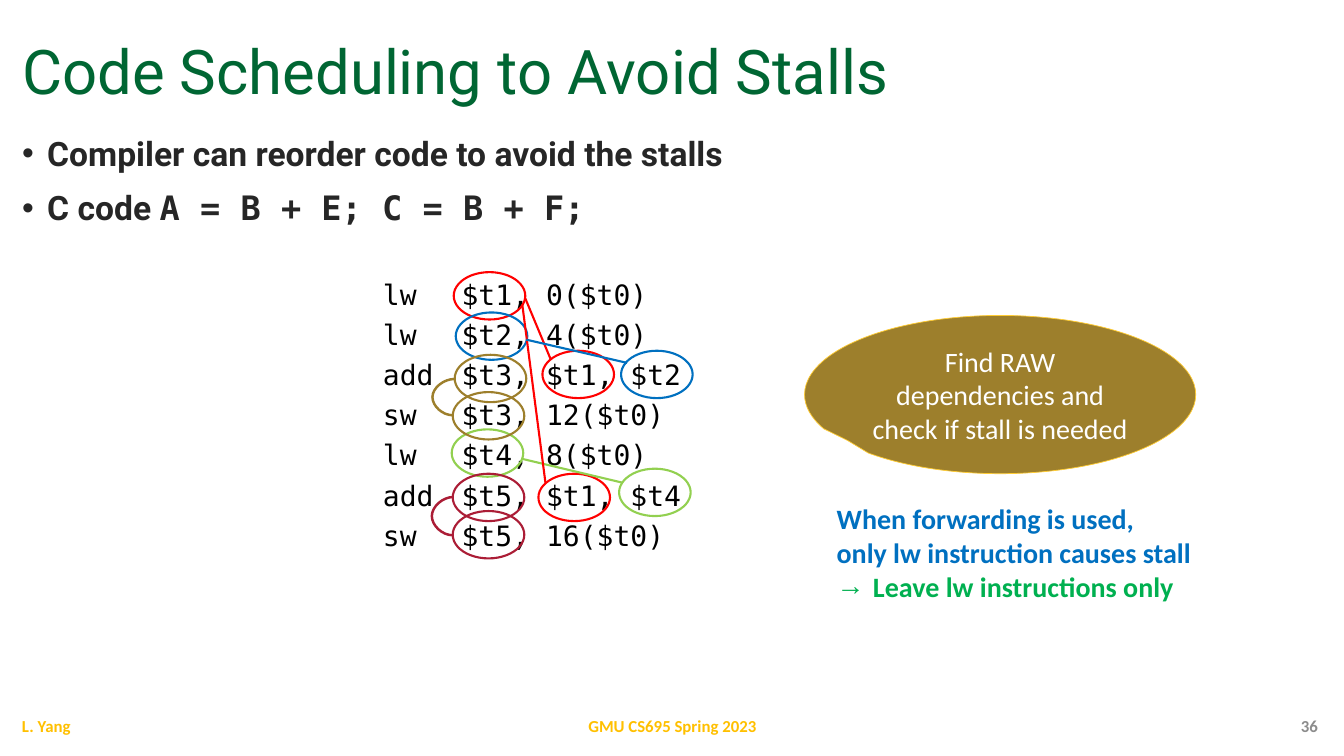
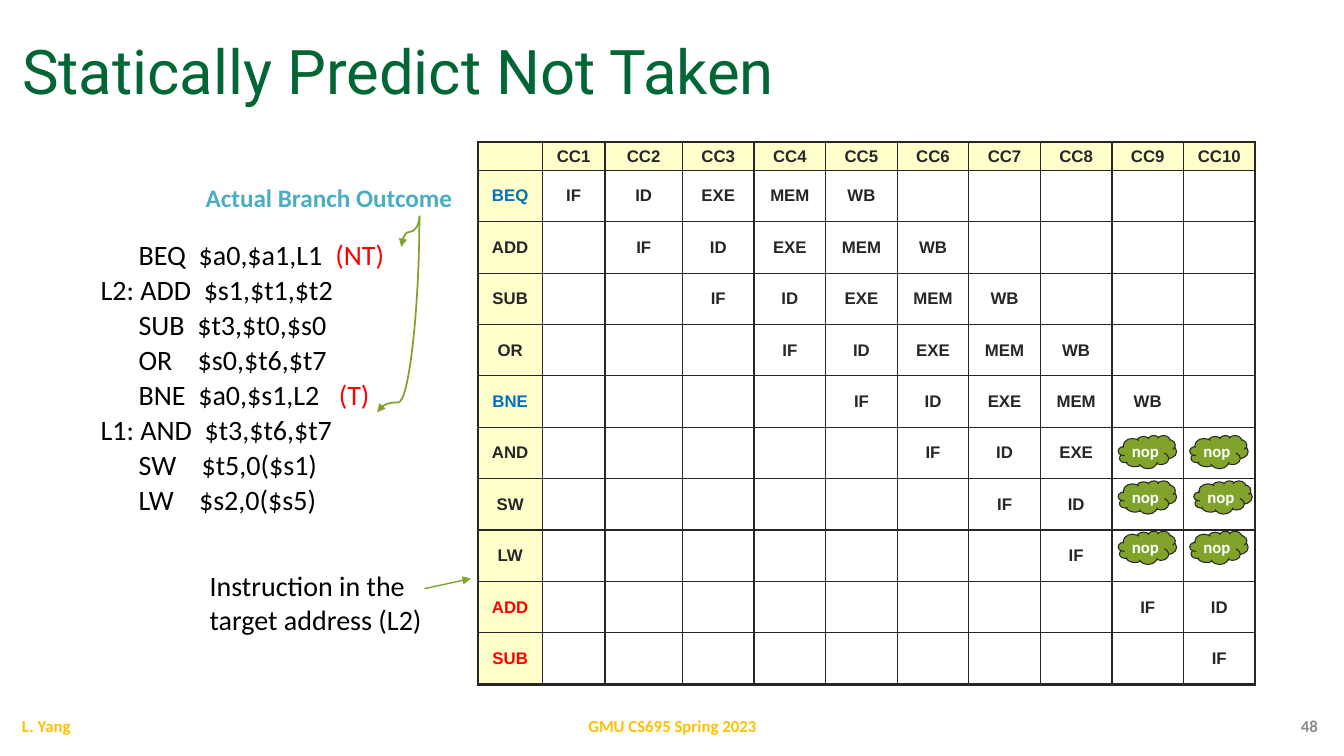
from lxml import etree
from pptx import Presentation
from pptx.dml.color import RGBColor
from pptx.enum import shapes, text
from pptx.oxml import ns
from pptx.util import Inches, Pt

C = {"title": "006633", "ink": "262626", "black": "000000", "white": "FFFFFF",
     "gray": "8C8C8C", "amber": "FFC000", "yellow": "FFCC33", "cream": "FFFFCC",
     "red": "FF0000", "blue": "0070C0", "green": "00B050", "lime": "92D050",
     "gold": "9D7F2C", "crimson": "AB1D36", "olive": "81A32B", "teal": "4BACC6"}
RGB = {k: RGBColor.from_string(v) for k, v in C.items()}
LEFT, CENTER, RIGHT = (text.PP_ALIGN.LEFT, text.PP_ALIGN.CENTER, text.PP_ALIGN.RIGHT)
TOP, MIDDLE, BOTTOM = (text.MSO_ANCHOR.TOP, text.MSO_ANCHOR.MIDDLE, text.MSO_ANCHOR.BOTTOM)
SHAPE, CONN = shapes.MSO_SHAPE, shapes.MSO_CONNECTOR

TITLE = {"name": "Roboto", "size": Pt(44), "color": "title"}
BODY = {"name": "Roboto", "size": Pt(24), "bold": True, "color": "ink"}
MONO = {"name": "DejaVu Sans Mono", "size": Pt(20), "color": "black"}
PLAIN = {"name": "Calibri", "size": Pt(20), "color": "black"}
SMALL = {"name": "Calibri", "size": Pt(12), "bold": True, "color": "amber"}
CELL = {"name": "Arial", "size": Pt(12), "bold": True, "color": "ink"}


def write(tf, lines, look, align=LEFT, anchor=TOP, before=0, spacing=None):
    """Fill a text frame; a line is a string or a list of (text, changes) runs."""
    tf.word_wrap = True
    tf.vertical_anchor = anchor
    for i, line in enumerate(lines):
        p = tf.paragraphs[0] if i == 0 else tf.add_paragraph()
        p.alignment = align
        p.line_spacing = spacing
        p.space_before = Pt(before if i else 0)
        for words, changes in [(line, {})] if isinstance(line, str) else line:
            r = p.add_run()
            r.text = words
            for key, value in {**look, **changes}.items():
                if key == "color":
                    r.font.color.rgb = RGB[value]
                else:
                    setattr(r.font, key, value)
    return tf.paragraphs


def connect(s, start, end, color, width, adj=None, down=False, arrow=False):
    """Draw a line, or a curve if adj is given; down makes it leave vertically."""
    (x1, y1), (x2, y2) = start, end
    if down:  # the box is stored unturned, then rotated a quarter turn
        cx, cy, w, h = (x1 + x2) / 2, (y1 + y2) / 2, y2 - y1, x1 - x2
        x1, y1, x2, y2 = cx - w / 2, cy - h / 2, cx + w / 2, cy + h / 2
    kind = CONN.STRAIGHT if adj is None else CONN.CURVE
    c = s.shapes.add_connector(kind, *map(Inches, (x1, y1, x2, y2)))
    c.line.color.rgb = RGB[color]
    c.line.width = Pt(width)
    sp_pr = c._element.spPr
    if down:
        sp_pr.find(ns.qn("a:xfrm")).set("rot", str(90 * 60000))
    if adj is not None:
        gd = etree.SubElement(sp_pr.find(".//" + ns.qn("a:avLst")), ns.qn("a:gd"))
        gd.set("name", "adj1")
        gd.set("fmla", f"val {round(adj * 100000)}")
    if arrow:
        etree.SubElement(sp_pr.find(ns.qn("a:ln")), ns.qn("a:tailEnd")).set("type", "triangle")
    etree.SubElement(sp_pr, ns.qn("a:effectLst"))


prs = Presentation()
prs.slide_width, prs.slide_height = Inches(13.33), Inches(7.5)

# Title and footer of both slides
slides = []
for title, number in [("Code Scheduling to Avoid Stalls", "36"),
                      ("Statically Predict Not Taken", "48")]:
    s = prs.slides.add_slide(prs.slide_layouts[5])
    slides.append(s)
    sp = s.shapes.title
    sp.left, sp.top, sp.width, sp.height = map(Inches, (0.12, 0.17, 13.05, 0.95))
    sp.text_frame.auto_size = text.MSO_AUTO_SIZE.NONE
    write(sp.text_frame, [title], TITLE, anchor=BOTTOM, spacing=0.9)
    for x, w, words, align, color in [(0.12, 3, "L. Yang", LEFT, "amber"),
                                      (4.42, 4.5, "GMU CS695 Spring 2023", CENTER, "amber"),
                                      (10.17, 3, number, RIGHT, "gray")]:
        sp = s.shapes.add_textbox(*map(Inches, (x, 7, w, 0.4)))
        write(sp.text_frame, [words], {**SMALL, "color": color}, align, MIDDLE)

# Slide 1: bullets, code and note
s = slides[0]
sp = s.shapes.add_textbox(*map(Inches, (0.12, 1.27, 13.05, 1.2)))
points = write(sp.text_frame, [
    "Compiler can reorder code to avoid the stalls",
    [("C code ", {}), ("A = B + E; C = B + F;", {"name": "DejaVu Sans Mono"})],
], BODY, before=10)

sp = s.shapes.add_textbox(*map(Inches, (3.7, 2.7, 3.3, 2.86)))
code = write(sp.text_frame, [
    "lw\t$t1, 0($t0)", "lw\t$t2, 4($t0)", "add\t$t3, $t1, $t2", "sw\t$t3, 12($t0)",
    "lw\t$t4, 8($t0)", "add\t$t5, $t1, $t4", "sw\t$t5, 16($t0)",
], MONO, before=4.7)
for p in code:
    tabs = etree.SubElement(p._p.get_or_add_pPr(), ns.qn("a:tabLst"))
    tab = etree.SubElement(tabs, ns.qn("a:tab"))
    tab.set("pos", str(Inches(0.78)))
    tab.set("algn", "l")

sp = s.shapes.add_textbox(*map(Inches, (8.2, 4.93, 3.9, 1.11)))
note = write(sp.text_frame, [
    "When forwarding is used,", "only lw instruction causes stall",
    [("Leave lw instructions only", {"color": "green"})],
], {**PLAIN, "bold": True, "color": "blue"})

for p, mark, indent in [(points[0], "•", 0.25), (points[1], "•", 0.25), (note[2], "→", 0.36)]:
    ppr = p._p.get_or_add_pPr()
    ppr.set("marL", str(Inches(indent)))
    ppr.set("indent", str(-Inches(indent)))
    etree.SubElement(ppr, ns.qn("a:buFont")).set("typeface", "Arial")
    etree.SubElement(ppr, ns.qn("a:buChar")).set("char", mark)

# Circled registers and the dependencies between them
rings = {"lime": [(4.48, 4.26), (6.14, 4.65)],
         "red": [(4.5, 2.7), (5.38, 3.48), (5.34, 4.7)],
         "blue": [(4.52, 3.1), (6.16, 3.48)],
         "gold": [(4.51, 3.52), (4.49, 3.89)],
         "crimson": [(4.49, 4.7), (4.49, 5.07)]}
for color, places in rings.items():
    for x, y in places:
        sp = s.shapes.add_shape(SHAPE.OVAL, *map(Inches, (x, y, 0.71, 0.47)))
        sp.shadow.inherit = False
        sp.fill.background()
        sp.line.color.rgb = RGB[color]
        sp.line.width = Pt(1.5)
for start, end, color in [((5.17, 4.55), (6.18, 4.79), "lime"),
                          ((5.21, 2.96), (5.46, 3.56), "red"),
                          ((5.18, 3.02), (5.41, 4.79), "red"),
                          ((5.22, 3.37), (6.22, 3.6), "blue")]:
    connect(s, start, end, color, 1.5)
connect(s, (4.51, 3.76), (4.49, 4.12), "gold", 1.75, adj=11)
connect(s, (4.5, 4.93), (4.49, 5.31), "crimson", 1.75, adj=22)

# Callout
sp = s.shapes.add_shape(SHAPE.OVAL_CALLOUT, *map(Inches, (7.98, 3.13, 3.88, 1.57)))
sp.adjustments[0], sp.adjustments[1] = -0.39, 0.29
sp.shadow.inherit = False
sp.fill.solid()
sp.fill.fore_color.rgb = RGB["gold"]
sp.line.color.rgb = RGB["yellow"]
sp.line.width = Pt(0.5)
write(sp.text_frame, ["Find RAW dependencies and check if stall is needed"],
      {**PLAIN, "color": "white"}, CENTER, MIDDLE)

# Slide 2: pipeline table; each instruction starts one cycle after the last
s = slides[1]
stages = ["IF", "ID", "EXE", "MEM", "WB"]
pipeline = [("BEQ", 5, "blue"), ("ADD", 5, "ink"), ("SUB", 5, "ink"), ("OR", 5, "ink"),
            ("BNE", 5, "blue"), ("AND", 3, "ink"), ("SW", 2, "ink"), ("LW", 1, "ink"),
            ("ADD", 2, "red"), ("SUB", 1, "red")]
grid = [[""] + [f"CC{n}" for n in range(1, 11)]]
for i, (name, count, color) in enumerate(pipeline):
    grid.append([name] + [""] * i + stages[:count] + [""] * (10 - i - count))

widths = [0.64, 0.62, 0.77] + [0.71] * 8
heights = [0.28] + [0.51] * 10
frame = s.shapes.add_table(11, 11, *map(Inches, (4.74, 1.41, sum(widths), sum(heights))))
table = frame.table
table.first_row = table.horz_banding = False
for col, w in zip(table.columns, widths):
    col.width = Inches(w)
for row, h in zip(table.rows, heights):
    row.height = Inches(h)
for i, row in enumerate(grid):
    for j, words in enumerate(row):
        cell = table.cell(i, j)
        cell.margin_left = cell.margin_right = Inches(0.05)
        cell.margin_top = cell.margin_bottom = Inches(0.04)
        cell.vertical_anchor = MIDDLE
        if words:
            color = pipeline[i - 1][2] if i and j == 0 else "ink"
            write(cell.text_frame, [words], {**CELL, "color": color}, CENTER, MIDDLE)
        else:
            cell.text_frame.paragraphs[0]._p.get_or_add_endParaRPr().set("sz", "1200")
        tc_pr = cell._tc.get_or_add_tcPr()
        for side, thick in [("L", j == 0), ("R", False), ("T", i == 0), ("B", i == 10)]:
            ln = etree.SubElement(tc_pr, ns.qn("a:ln" + side))
            ln.set("w", str(Pt(2.25 if thick else 1)))
            fill = etree.SubElement(ln, ns.qn("a:solidFill"))
            etree.SubElement(fill, ns.qn("a:srgbClr")).set("val", C["ink"])
        if i == 0 or j == 0:
            cell.fill.solid()
            cell.fill.fore_color.rgb = RGB["cream"]
        else:
            cell.fill.background()

# Program listing and labels
sp = s.shapes.add_textbox(*map(Inches, (0.9, 2.34, 3.2, 2.95)))
red = {"color": "red"}
write(sp.text_frame, [
    [("      BEQ  $a0,$a1,L1  ", {}), ("(NT)", red)],
    "L2: ADD  $s1,$t1,$t2",
    "      SUB  $t3,$t0,$s0",
    "      OR    $s0,$t6,$t7",
    [("      BNE  $a0,$s1,L2   ", {}), ("(T)", red)],
    "L1: AND  $t3,$t6,$t7",
    "      SW    $t5,0($s1)",
    "      LW    $s2,0($s5)",
], PLAIN, before=3.5, spacing=0.9)
for box, lines, look in [
        ((1.94, 1.76, 2.75, 0.4), ["Actual Branch Outcome"],
         {**PLAIN, "size": Pt(18), "bold": True, "color": "teal"}),
        ((1.98, 5.59, 2.45, 0.8), ["Instruction in the", "target address (L2)"], PLAIN)]:
    sp = s.shapes.add_textbox(*map(Inches, box))
    write(sp.text_frame, lines, look)

# Arrows
connect(s, (4.16, 2.15), (3.98, 2.45), "olive", 1.25, adj=0.5, down=True, arrow=True)
connect(s, (4.16, 2.14), (3.74, 4.09), "olive", 1.25, adj=0.95, down=True, arrow=True)
connect(s, (4.21, 5.84), (4.67, 5.74), "olive", 1, arrow=True)

# Flushed stages
for y, columns in [(4.32, (11.09, 11.8)), (4.77, (11.09, 11.84)), (5.27, (11.09, 11.8))]:
    for x in columns:
        sp = s.shapes.add_shape(SHAPE.CLOUD, *map(Inches, (x, y, 0.58, 0.33)))
        sp.shadow.inherit = False
        sp.fill.solid()
        sp.fill.fore_color.rgb = RGB["olive"]
        sp.line.color.rgb = RGB["ink"]
        sp.line.width = Pt(0.75)
        sp.text_frame.margin_left = sp.text_frame.margin_right = 0
        write(sp.text_frame, ["nop"], {**SMALL, "color": "white"}, CENTER, MIDDLE)

prs.save("out.pptx")
